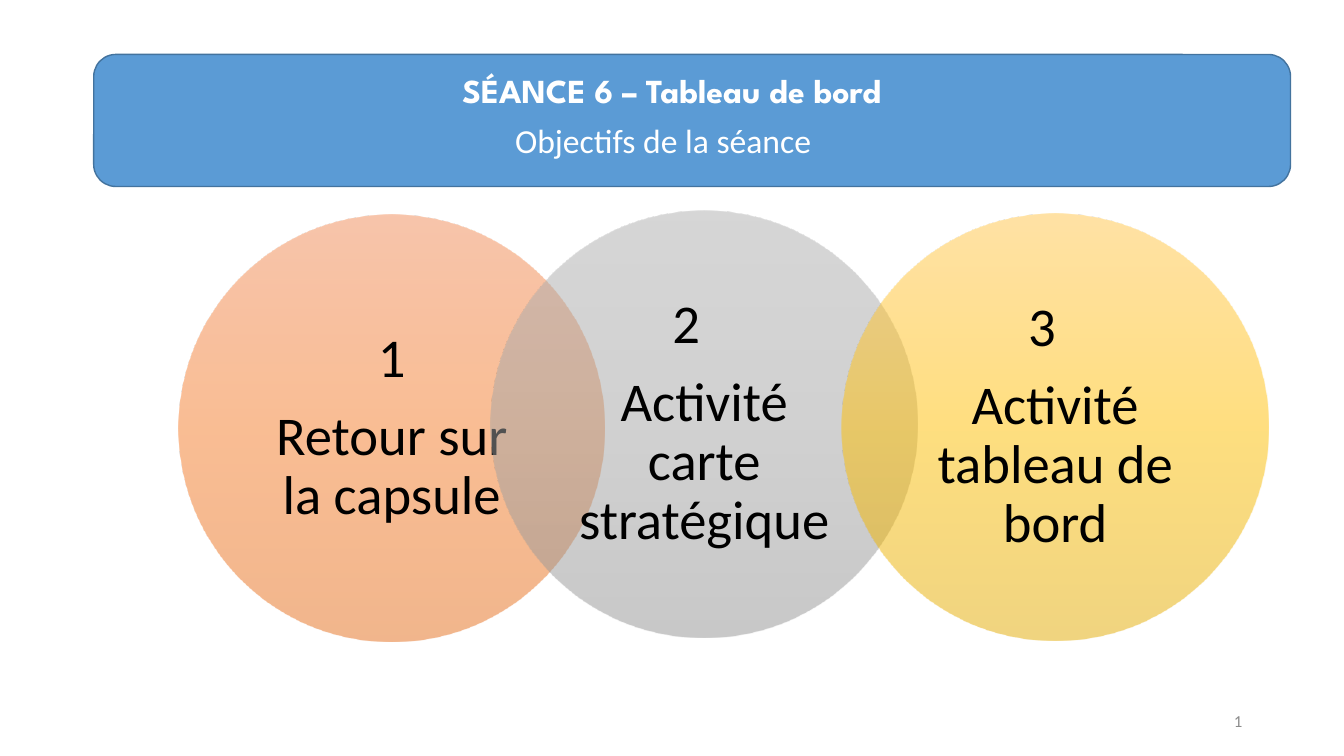
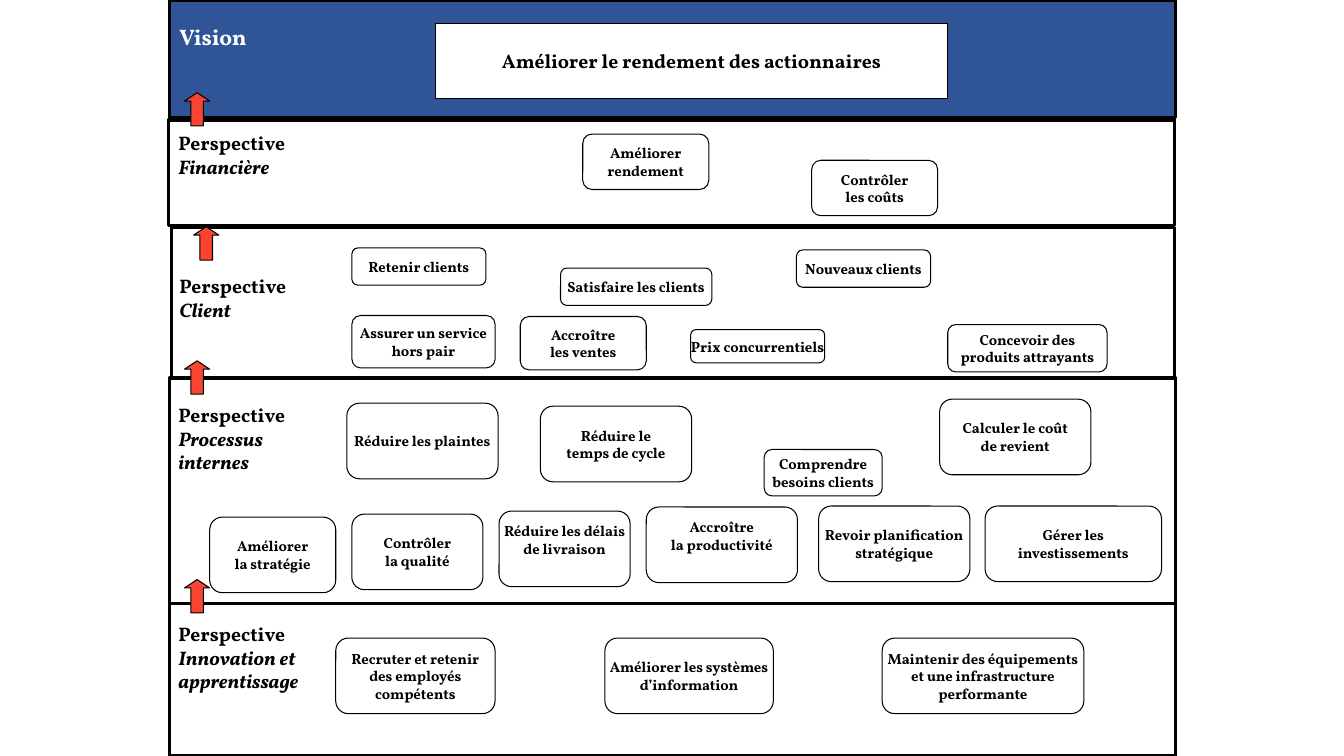
"""Session 6 deck: the session's three aims and a strategy map by perspective."""
from dataclasses import dataclass

from lxml import etree
from pptx import Presentation
from pptx.dml.color import RGBColor
from pptx.enum.shapes import MSO_SHAPE
from pptx.enum.text import MSO_ANCHOR, PP_ALIGN
from pptx.oxml.ns import qn
from pptx.util import Inches, Pt

RECTANGLE, ROUNDED = MSO_SHAPE.RECTANGLE, MSO_SHAPE.ROUNDED_RECTANGLE
OVAL, UP_ARROW = MSO_SHAPE.OVAL, MSO_SHAPE.UP_ARROW
LEFT, CENTER, RIGHT = PP_ALIGN.LEFT, PP_ALIGN.CENTER, PP_ALIGN.RIGHT
TOP, MIDDLE = MSO_ANCHOR.TOP, MSO_ANCHOR.MIDDLE


@dataclass(frozen=True)
class Theme:
    """Colours, fonts and type sizes."""
    white: str = "FFFFFF"
    black: str = "000000"
    header: str = "5B9BD5"
    header_edge: str = "43739E"
    vision: str = "2F5597"
    arrow: str = "F94431"
    footer: str = "8C8C8C"
    body_font: str = "Calibri"
    title_font: str = "League Spartan"
    map_font: str = "Vollkorn"
    title_size: float = 24
    aim_size: float = 39
    footer_size: float = 12
    vision_size: float = 16
    label_size: float = 14
    card_size: float = 10.5
    thick: float = 2.25
    thin: float = 0.75


THEME = Theme()
WIDTH, HEIGHT = 13.33, 7.5

SESSION = "SÉANCE 6 – Tableau de bord"
SUBTITLE = "Objectifs de la séance"
HEADER_BOX = (0.93, 0.54, 11.87, 1.31)
SESSION_BOX = (4.25, 0.64, 4.83, 0.5)
SUBTITLE_BOX = (5.01, 1.14, 3.32, 0.5)
PAGE_BOX = (9.42, 6.95, 3, 0.4)

# number, aim, left, top, numeral offset, gradient
AIMS = [
    ("1", "Retour sur la capsule", 1.77, 2.13, 0, ("F18C57", "F67B28", "E56C19")),
    ("2", "Activité carte stratégique", 4.87, 2.09, 0.18, ("AFAFAF", "A5A5A5", "939393")),
    ("3", "Activité tableau de bord", 8.35, 2.12, 0.13, ("FFC64B", "FFC000", "E3AB00")),
]
CIRCLE, AIM_INSET, AIM_MARGIN = 4.23, 0.62, 0.23

VISION = "Vision"
GOAL = "Améliorer le rendement des actionnaires"
VISION_BAND = (1.68, 0, 9.98, 1.17)
VISION_LABEL = (1.68, 0.18, 1.43, 0.37)
GOAL_BOX = (4.32, 0.23, 5.08, 0.75)

PERSPECTIVES = [
    {"name": "Financière", "band": (1.67, 1.19, 9.98, 1.05),
     "label": (1.67, 1.25, 1.65, 0.57), "arrow": (1.83, 0.92),
     "cards": [
         ("Améliorer\nrendement", 5.78, 1.33, 1.25, 0.55),
         ("Contrôler\nles coûts", 8.05, 1.59, 1.25, 0.55)]},
    {"name": "Client", "band": (1.7, 2.26, 9.95, 1.52),
     "label": (1.68, 2.67, 1.43, 0.57), "arrow": (1.92, 2.25),
     "cards": [
         ("Retenir clients", 3.49, 2.46, 1.33, 0.37),
         ("Satisfaire les clients", 5.56, 2.66, 1.5, 0.37),
         ("Nouveaux clients", 7.9, 2.48, 1.33, 0.37),
         ("Assurer un service\nhors pair", 3.49, 3.13, 1.42, 0.52),
         ("Accroître\nles ventes", 5.16, 3.14, 1.25, 0.53),
         ("Prix concurrentiels", 6.85, 3.27, 1.33, 0.33),
         ("Concevoir des\nproduits attrayants", 9.4, 3.22, 1.58, 0.47)]},
    {"name": "Processus internes", "band": (1.68, 3.75, 9.98, 2.26),
     "label": (1.67, 3.95, 1.43, 0.81), "arrow": (1.83, 3.58),
     "cards": [
         ("Réduire les plaintes", 3.44, 4, 1.5, 0.75),
         ("Réduire le\ntemps de cycle", 5.36, 4.03, 1.5, 0.75),
         ("Comprendre\nbesoins clients", 7.58, 4.46, 1.17, 0.46),
         ("Calculer le coût\nde revient", 9.32, 3.96, 1.5, 0.75),
         ("Améliorer\nla stratégie", 2.08, 5.13, 1.25, 0.75),
         ("Contrôler\nla qualité", 3.49, 5.1, 1.3, 0.75),
         ("Réduire les délais\nde livraison", 4.95, 5.07, 1.3, 0.75),
         ("Accroître\nla productivité", 6.41, 5.03, 1.5, 0.75),
         ("Revoir planification\nstratégique", 8.12, 5.02, 1.5, 0.75),
         ("Gérer les\ninvestissements", 9.77, 5.02, 1.75, 0.75)]},
    {"name": "Innovation et apprentissage", "band": (1.68, 5.99, 9.98, 1.51),
     "label": (1.67, 6.12, 1.54, 0.81), "arrow": (1.83, 5.75),
     "cards": [
         ("Recruter et retenir\ndes employés\ncompétents", 3.33, 6.33, 1.58, 0.75),
         ("Améliorer les systèmes\nd’information", 6, 6.33, 1.67, 0.75),
         ("Maintenir des équipements\net une infrastructure\nperformante", 8.75, 6.33, 2, 0.75)]},
]
RAISED = {"Réduire les délais\nde livraison", "Accroître\nla productivité"}
RAISED_MARGIN = 0.23
ARROW_SIZE = (0.25, 0.33)
ARROW_HEAD = 0.333


def inches(box):
    return [Inches(length) for length in box]


def write(frame, lines, size, font, color, bold=False, align=LEFT, anchor=TOP, wrap=True):
    frame.word_wrap = wrap
    frame.vertical_anchor = anchor
    for index, line in enumerate(lines):
        paragraph = frame.paragraphs[0] if index == 0 else frame.add_paragraph()
        paragraph.text = line
        paragraph.alignment = align
        paragraph.font.size = Pt(size)
        paragraph.font.name = font
        paragraph.font.bold = bold
        paragraph.font.color.rgb = RGBColor.from_string(color)
    return frame


def add_text(slide, box, lines, size, font, color, **style):
    frame = slide.shapes.add_textbox(*inches(box)).text_frame
    return write(frame, lines, size, font, color, **style)


def add_block(slide, kind, box, fill=None, edge=THEME.black, weight=THEME.thin):
    block = slide.shapes.add_shape(kind, *inches(box))
    block.shadow.inherit = False
    if fill:
        block.fill.solid()
        block.fill.fore_color.rgb = RGBColor.from_string(fill)
        block.line.color.rgb = RGBColor.from_string(edge)
        block.line.width = Pt(weight)
    else:
        block.line.fill.background()
    return block


def add_card(slide, kind, box, text, size):
    card = add_block(slide, kind, box, THEME.white)
    return write(card.text_frame, text.split("\n"), size, THEME.map_font, THEME.black,
                 bold=True, align=CENTER, anchor=MIDDLE, wrap=False)


def fade(block, colors):
    block.fill.gradient()
    block.fill.gradient_angle = 270
    stops = block._element.spPr.find(qn("a:gradFill")).find(qn("a:gsLst"))
    for stop in list(stops):
        stops.remove(stop)
    for index, color in enumerate(colors):
        stop = etree.SubElement(stops, qn("a:gs"), pos=str(index * 50000))
        tint = etree.SubElement(stop, qn("a:srgbClr"), val=color)
        etree.SubElement(tint, qn("a:alpha"), val="50000")


def add_page_number(slide, number):
    frame = add_text(slide, PAGE_BOX, [""], THEME.footer_size, THEME.body_font,
                     THEME.footer, align=RIGHT, anchor=MIDDLE)
    field = etree.SubElement(frame.paragraphs[0]._p, qn("a:fld"), type="slidenum",
                             id="{B6F15528-21DE-4FAA-801E-634DDDAF4B2B}")
    etree.SubElement(field, qn("a:rPr"), lang="fr-CA")
    etree.SubElement(field, qn("a:t")).text = str(number)


def add_aim(slide, number, aim, left, top, offset, colors):
    fade(add_block(slide, OVAL, (left, top, CIRCLE, CIRCLE)), colors)
    side = CIRCLE - 2 * AIM_INSET
    shift = 2 * offset
    box = (left + AIM_INSET - shift, top + AIM_INSET, side + shift, side)
    frame = add_text(slide, box, [number, aim], THEME.aim_size, THEME.body_font,
                     THEME.black, align=CENTER, anchor=MIDDLE)
    frame.margin_left = frame.margin_right = Inches(AIM_MARGIN)
    numeral, wording = frame.paragraphs
    numeral.line_spacing = wording.line_spacing = 0.9
    numeral.space_after = Pt(0.35 * THEME.aim_size)
    wording._p.get_or_add_pPr().set("marL", str(Inches(shift)))


def build_aims(slide):
    add_block(slide, ROUNDED, HEADER_BOX, THEME.header, THEME.header_edge, 1)
    add_text(slide, SESSION_BOX, [SESSION], THEME.title_size, THEME.title_font,
             THEME.white, bold=True, align=CENTER, wrap=False)
    add_text(slide, SUBTITLE_BOX, [SUBTITLE], THEME.title_size, THEME.body_font, THEME.white)
    for aim in AIMS:
        add_aim(slide, *aim)
    add_page_number(slide, 1)


def build_map(slide):
    add_block(slide, RECTANGLE, VISION_BAND, THEME.vision, weight=THEME.thick)
    for perspective in PERSPECTIVES:
        add_block(slide, RECTANGLE, perspective["band"], THEME.white, weight=THEME.thick)
    add_text(slide, VISION_LABEL, [VISION], THEME.vision_size, THEME.map_font,
             THEME.white, bold=True)
    add_card(slide, RECTANGLE, GOAL_BOX, GOAL, THEME.label_size)
    for perspective in PERSPECTIVES:
        label = add_text(slide, perspective["label"], ["Perspective", perspective["name"]],
                         THEME.label_size, THEME.map_font, THEME.black, bold=True)
        label.paragraphs[1].font.italic = True
        arrow = add_block(slide, UP_ARROW, perspective["arrow"] + ARROW_SIZE, THEME.arrow)
        arrow.adjustments[1] = ARROW_HEAD
        for text, *box in perspective["cards"]:
            frame = add_card(slide, ROUNDED, box, text, THEME.card_size)
            if text in RAISED:
                frame.margin_bottom = Inches(RAISED_MARGIN)


def main():
    deck = Presentation()
    deck.slide_width, deck.slide_height = inches((WIDTH, HEIGHT))
    blank = deck.slide_layouts[6]
    for build in (build_aims, build_map):
        build(deck.slides.add_slide(blank))
    deck.save("out.pptx")


if __name__ == "__main__":
    main()
